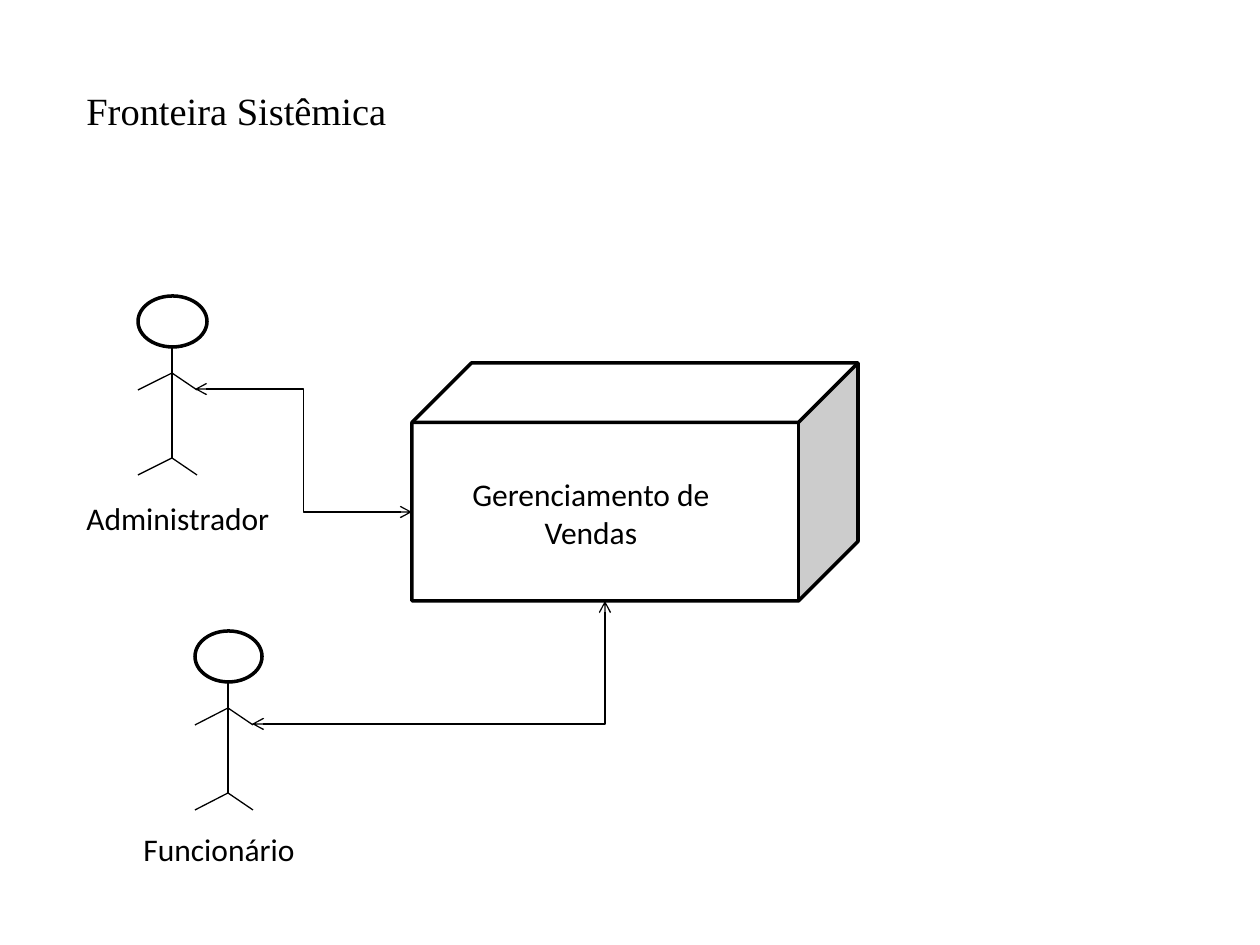
from dataclasses import dataclass

from pptx import Presentation
from pptx.dml.color import RGBColor as RGB
from pptx.enum.shapes import MSO_CONNECTOR as Link, MSO_SHAPE as Form
from pptx.enum.text import MSO_AUTO_SIZE as Auto, PP_ALIGN as Align
from pptx.oxml.ns import qn
from pptx.util import Pt
from lxml.etree import SubElement as sub

SCALE = 914400 // 126


@dataclass(frozen=True)
class Theme:
    ink: RGB = RGB(0, 0, 0)
    paper: RGB = RGB(255, 255, 255)
    serif: str = "Times New Roman"
    sans: str = "Calibri"
    title: int = 22
    body: int = 18
    thick: float = 2
    thin: float = 0.75


def px(*vals):
    return [round(v) * SCALE for v in vals]


def assign(obj, vals):
    for key, val in vals.items():
        setattr(obj, key, val)


class Pen:
    def __init__(self, slide, theme):
        self.slide, self.theme = slide, theme

    def stroke(self, line, width):
        line.color.rgb = self.theme.ink
        line.width = Pt(width)

    def text(self, words, box, size=None, font=None, align=Align.LEFT):
        frame = self.slide.shapes.add_textbox(*px(*box)).text_frame
        assign(frame, {"word_wrap": True, "auto_size": Auto.SHAPE_TO_FIT_TEXT})
        para = frame.paragraphs[0]
        para.alignment = align
        run = para.add_run()
        run.text = words
        assign(run.font, {"size": Pt(size or self.theme.body),
                          "name": font or self.theme.sans})
        run.font.color.rgb = self.theme.ink

    def shape(self, form, box, home=None):
        item = (home or self.slide).shapes.add_shape(form, *px(*box))
        item.shadow.inherit = False
        item.fill.solid()
        item.fill.fore_color.rgb = self.theme.paper
        self.stroke(item.line, self.theme.thick)

    def line(self, start, end, home=None, kind=Link.STRAIGHT):
        item = (home or self.slide).shapes.add_connector(kind, *px(*start, *end))
        self.stroke(item.line, self.theme.thin)
        sub(item._element.spPr, qn("a:effectLst"))
        return item

    def elbow(self, start, end, preset):
        item = self.line(start, end, kind=Link.ELBOW)
        props = item._element.spPr
        props.find(qn("a:prstGeom")).set("prst", preset)
        for tip in ("a:headEnd", "a:tailEnd"):
            sub(props.find(qn("a:ln")), qn(tip), type="arrow")

    def actor(self, left, top, width):
        group = self.slide.shapes.add_group_shape()
        mid, right = left + width / 2, left + width * 0.86
        self.shape(Form.FLOWCHART_CONNECTOR, (left, top, width, 51), group)
        neck, hip = (mid, top + 77), (mid, top + 162)
        self.line((mid, top + 51), hip, group)
        for joint in (hip, neck):
            for side in (left, right):
                self.line(joint, (side, joint[1] + 17), group)


deck = Presentation()
assign(deck, dict(zip(("slide_width", "slide_height"), px(1260, 945))))
theme = Theme()
pen = Pen(deck.slides.add_slide(deck.slide_layouts[6]), theme)

# Title
pen.text("Fronteira Sistêmica", (74, 81, 992, 59), theme.title, theme.serif)

# System
pen.shape(Form.CUBE, (412, 363, 446, 238))
pen.text("Gerenciamento de Vendas", (422, 469, 338, 89), align=Align.CENTER)

# Actors
pen.actor(195, 631, 67)
pen.actor(138, 296, 69)

# Links between actors and system
pen.elbow((195, 389), (412, 512), "bentConnector3")
pen.elbow((252, 724), (605, 601), "bentConnector2")

# Actor names
pen.text("Administrador", (74, 493, 229, 50))
pen.text("Funcionário", (131, 824, 194, 50))

deck.save("out.pptx")
